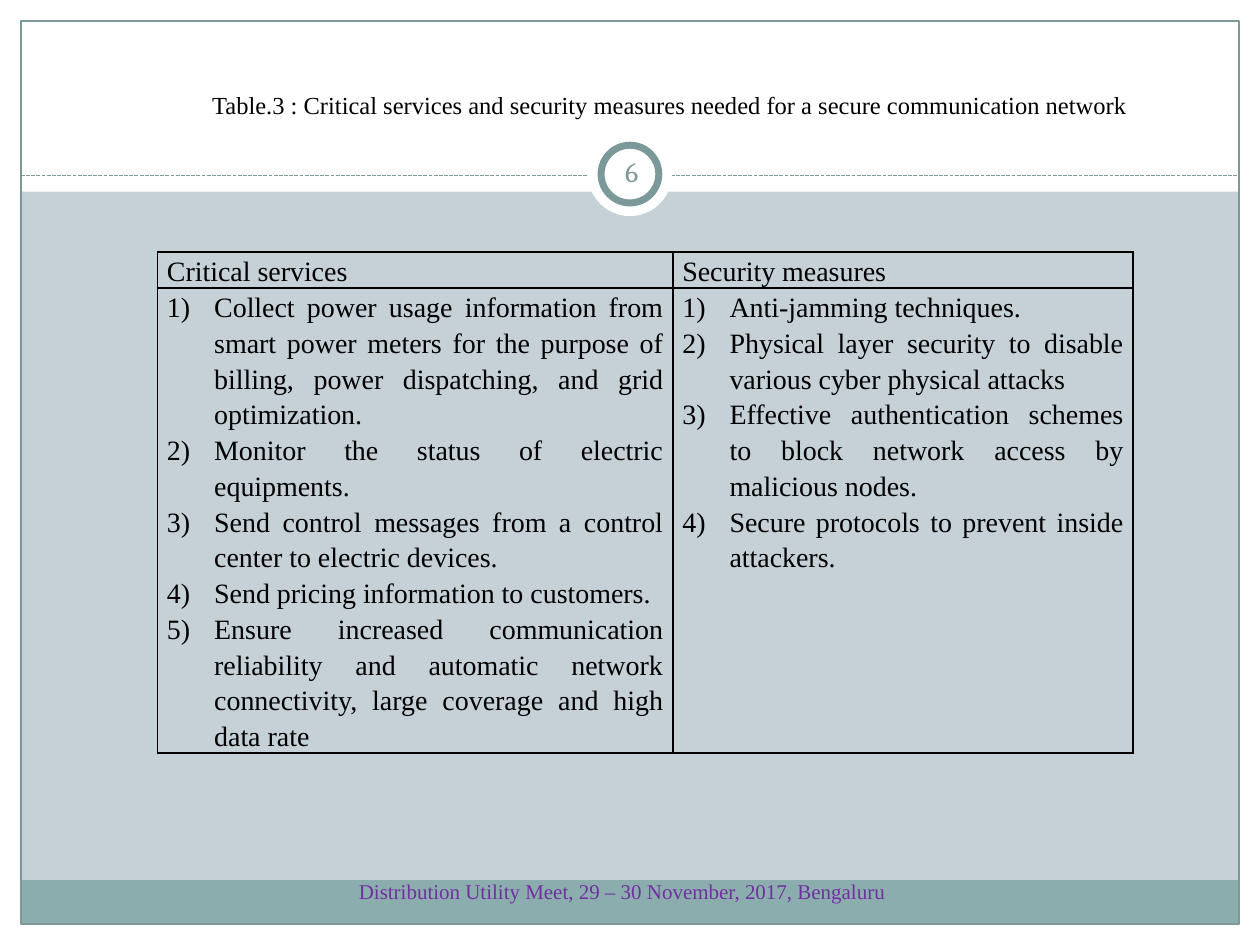
"""Build the slide on critical services and security measures."""
from lxml.etree import SubElement
from pptx import Presentation
from pptx.dml.color import RGBColor
from pptx.enum.dml import MSO_LINE
from pptx.enum.shapes import MSO_CONNECTOR, MSO_SHAPE
from pptx.enum.text import MSO_ANCHOR, PP_ALIGN
from pptx.oxml.ns import qn
from pptx.util import Pt


def tint(form, code):
    form.rgb = RGBColor.from_string(code)


def write(para, text, size, name, code):
    run = para.add_run()
    run.text = text
    for key, value in {"size": Pt(size), "name": name, "bold": False}.items():
        setattr(run.font, key, value)
    tint(run.font.color, code)


SERIF = "Times New Roman"
BLACK, WHITE, TEAL = "000000", "FFFFFF", "7C999A"

deck = Presentation()
deck.slide_width, deck.slide_height = Pt(720), Pt(540)
slide = deck.slides.add_slide(deck.slide_layouts[5])
slide.background.fill.solid()
tint(slide.background.fill.fore_color, "C5D1D7")
shapes = slide.shapes

RECT, OVAL = MSO_SHAPE.RECTANGLE, MSO_SHAPE.OVAL
parts = [
    (RECT, (0, 528, 720, 12), WHITE, None, 0),
    (RECT, (0, 0, 720, 109.5), WHITE, None, 0),
    (RECT, (0, 0, 12, 540), WHITE, None, 0),
    (RECT, (708, 0, 12, 540), WHITE, None, 0),
    (RECT, (12, 503, 696, 25), "8CADAE", None, 0),
    (RECT, (12, 12, 696, 516), None, TEAL, 0.75),
    (OVAL, (336, 75.5, 48, 48), WHITE, None, 0),
    (OVAL, (343.5, 83, 33, 33), WHITE, TEAL, 4),
]
for kind, box, fill, edge, width in parts:
    if kind == OVAL and edge is None:
        rule = shapes.add_connector(MSO_CONNECTOR.STRAIGHT, Pt(12), Pt(100.5), Pt(708), Pt(100.5))
        tint(rule.line.color, TEAL)
        rule.line.width = Pt(0.75)
        rule.line.dash_style = MSO_LINE.SQUARE_DOT
        SubElement(rule._element.spPr, qn("a:effectLst"))
    shape = shapes.add_shape(kind, *map(Pt, box))
    shape.shadow.inherit = False
    if fill:
        shape.fill.solid()
        tint(shape.fill.fore_color, fill)
    else:
        shape.fill.background()
    if edge:
        tint(shape.line.color, edge)
        shape.line.width = Pt(width)
    else:
        shape.line.fill.background()

heads = ["Critical services", "Security measures"]
lists = [
    [
        "Collect power usage information from smart power meters for the purpose of "
        "billing, power dispatching, and grid optimization.",
        "Monitor the status of electric equipments.",
        "Send control messages from a control center to electric devices.",
        "Send pricing information to customers.",
        "Ensure increased communication reliability and automatic network "
        "connectivity, large coverage and high data rate",
    ],
    [
        "Anti-jamming techniques.",
        "Physical layer security to disable various cyber physical attacks",
        "Effective authentication schemes to block network access by malicious nodes.",
        "Secure protocols to prevent inside attackers.",
    ],
]
table = shapes.add_table(2, 2, Pt(90), Pt(144), Pt(557.5), Pt(286)).table
table.first_row = table.horz_banding = False
for col, width in zip(table.columns, (294.5, 263)):
    col.width = Pt(width)
for row, height in zip(table.rows, (20.5, 265.5)):
    row.height = Pt(height)

for r, row in enumerate([[[head] for head in heads], lists]):
    for c, items in enumerate(row):
        cell = table.cell(r, c)
        cell.margin_left = cell.margin_right = Pt(5.4)
        cell.margin_top = cell.margin_bottom = 0
        props = cell._tc.get_or_add_tcPr()
        for side in ("lnL", "lnR", "lnT", "lnB"):
            edge = SubElement(props, qn(f"a:{side}"), w=str(Pt(1)))
            paint = SubElement(edge, qn("a:solidFill"))
            SubElement(paint, qn("a:srgbClr"), val=BLACK)
        cell.fill.background()
        for i, item in enumerate(items):
            frame = cell.text_frame
            para = frame.add_paragraph() if i else frame.paragraphs[0]
            para.alignment = PP_ALIGN.JUSTIFY
            para.line_spacing = 1.15
            write(para, item, 16, SERIF, BLACK)
            if r:
                form = para._p.get_or_add_pPr()
                form.set("marL", str(Pt(27)))
                form.set("indent", str(Pt(-27)))
                SubElement(form, qn("a:buFont"), typeface="+mj-lt")
                SubElement(form, qn("a:buAutoNum"), type="arabicParenR")

title = shapes.title
shapes._spTree.append(title._element)
page = shapes.add_textbox(0, 0, 0, 0)
foot = shapes.add_textbox(0, 0, 0, 0)
LEFT, MID = PP_ALIGN.LEFT, PP_ALIGN.CENTER
TOP, MIDDLE = MSO_ANCHOR.TOP, MSO_ANCHOR.MIDDLE
texts = [
    (title, (114, 48, 546, 46), LEFT, TOP, 7.2, 14, SERIF, BLACK,
     "Table.3 : Critical services and security measures needed for a secure communication network"),
    (page, (343, 80.5, 36, 35), MID, MIDDLE, 3.6, 16, "Cambria", TEAL, "6"),
    (foot, (198, 498.5, 330, 29), LEFT, TOP, 7.2, 12, SERIF, "7030A0",
     "Distribution Utility Meet, 29 – 30 November, 2017, Bengaluru"),
]
for shape, box, align, anchor, inset, size, name, code, text in texts:
    for key, value in zip(("left", "top", "width", "height"), box):
        setattr(shape, key, Pt(value))
    frame = shape.text_frame
    looks = {"word_wrap": True, "vertical_anchor": anchor, "margin_left": Pt(inset),
             "margin_right": Pt(inset), "margin_top": Pt(3.6), "margin_bottom": Pt(3.6)}
    for key, value in looks.items():
        setattr(frame, key, value)
    frame.paragraphs[0].alignment = align
    write(frame.paragraphs[0], text, size, name, code)

deck.save("out.pptx")
